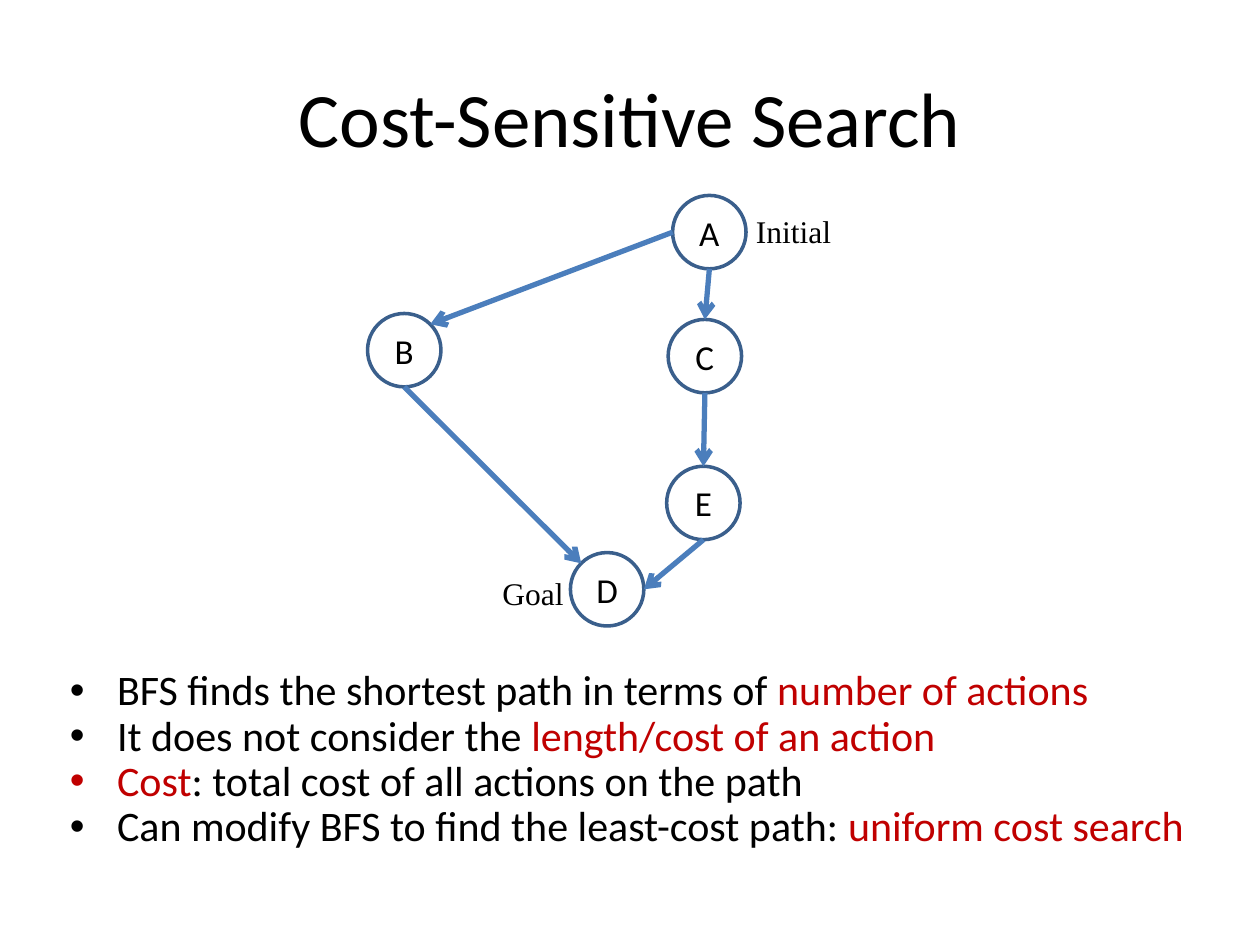
from dataclasses import dataclass
from math import cos, radians, sin

from lxml import etree
from pptx import Presentation
from pptx.dml.color import RGBColor
from pptx.enum.shapes import MSO_CONNECTOR, MSO_SHAPE
from pptx.enum.text import MSO_ANCHOR, MSO_AUTO_SIZE, PP_ALIGN
from pptx.oxml.ns import qn
from pptx.util import Cm, Pt

OVAL = MSO_SHAPE.OVAL
LINE = MSO_CONNECTOR.STRAIGHT
MIDDLE = MSO_ANCHOR.MIDDLE
CENTER = PP_ALIGN.CENTER
GROW = MSO_AUTO_SIZE.SHAPE_TO_FIT_TEXT


@dataclass(frozen=True)
class Theme:
    ink: RGBColor = RGBColor(0, 0, 0)
    red: RGBColor = RGBColor(0xC0, 0, 0)
    white: RGBColor = RGBColor(0xFF, 0xFF, 0xFF)
    ring: RGBColor = RGBColor(0x3A, 0x5F, 0x8C)
    arrow: RGBColor = RGBColor(0x4B, 0x7E, 0xBC)
    sans: str = "Calibri"
    serif: str = "Times New Roman"
    title: Pt = Pt(44)
    body: Pt = Pt(24)
    node: Pt = Pt(20)
    label: Pt = Pt(18)


theme = Theme()


def add_run(para, text, size, color=theme.ink, face=theme.sans):
    run = para.add_run()
    run.text = text
    run.font.size = size
    run.font.name = face
    run.font.color.rgb = color


def rim(name, angle):
    """Point on a node's edge, with the angle counted clockwise from the right."""
    x, y = nodes[name]
    turn = radians(angle)
    return Cm(x + radius * cos(turn)), Cm(y + radius * sin(turn))


prs = Presentation()
prs.slide_width, prs.slide_height = Cm(25.4), Cm(19.05)
slide = prs.slides.add_slide(prs.slide_layouts[6])
shapes = slide.shapes

# Title
frame = shapes.add_textbox(Cm(1.27), Cm(0.76), Cm(22.86), Cm(3.18)).text_frame
frame.word_wrap = True
frame.vertical_anchor = MIDDLE
para = frame.paragraphs[0]
para.alignment = CENTER
add_run(para, "Cost-Sensitive Search", theme.title)

# Bullets
points = [
    [("BFS finds the shortest path in terms of ", theme.ink),
     ("number of actions", theme.red)],
    [("It does not consider the ", theme.ink),
     ("length/cost of an action", theme.red)],
    [("Cost", theme.red),
     (": total cost of all actions on the path", theme.ink)],
    [("Can modify BFS to find the least-cost path: ", theme.ink),
     ("uniform cost search", theme.red)],
]
frame = shapes.add_textbox(Cm(1.16), Cm(13.37), Cm(23.7), Cm(4.42)).text_frame
frame.word_wrap = True
for i, point in enumerate(points):
    para = frame.add_paragraph() if i else frame.paragraphs[0]
    para.line_spacing = 0.9
    props = para._p.get_or_add_pPr()
    props.set("marL", str(Cm(0.95)))
    props.set("indent", str(-Cm(0.95)))
    etree.SubElement(props, qn("a:buFont"), typeface="Arial")
    etree.SubElement(props, qn("a:buChar"), char="•")
    for text, color in point:
        add_run(para, text, theme.body, color)

# Graph nodes, by centre in cm
radius = 0.74
nodes = {
    "A": (14.3, 4.68),
    "B": (8.15, 7.06),
    "C": (14.21, 7.18),
    "D": (12.24, 11.88),
    "E": (14.18, 10.14),
}
for name, (x, y) in nodes.items():
    node = shapes.add_shape(OVAL, Cm(x - radius), Cm(y - radius),
                            Cm(2 * radius), Cm(2 * radius))
    node.shadow.inherit = False
    node.fill.solid()
    node.fill.fore_color.rgb = theme.white
    node.line.color.rgb = theme.ring
    node.line.width = Pt(2)
    frame = node.text_frame
    frame.vertical_anchor = MIDDLE
    para = frame.paragraphs[0]
    para.alignment = CENTER
    add_run(para, name, theme.node)

# Arrows, each from and to a node at an angle
edges = [
    ("A", 180, "B", -45),
    ("B", 90, "D", -135),
    ("E", 90, "D", 0),
    ("A", 90, "C", -90),
    ("C", 90, "E", -90),
]
for start, leave, end, enter in edges:
    edge = shapes.add_connector(LINE, *rim(start, leave), *rim(end, enter))
    edge.line.color.rgb = theme.arrow
    edge.line.width = Pt(3)
    props = edge._element.spPr
    etree.SubElement(props.find(qn("a:ln")), qn("a:tailEnd"), type="arrow")
    etree.SubElement(props, qn("a:effectLst"))

# Labels beside the first and last node
for text, x, y, width in [("Initial", 14.99, 4.14, 2.06),
                          ("Goal", 9.88, 11.45, 1.75)]:
    frame = shapes.add_textbox(Cm(x), Cm(y), Cm(width), Cm(1.02)).text_frame
    frame.word_wrap = False
    frame.auto_size = GROW
    add_run(frame.paragraphs[0], text, theme.label, face=theme.serif)

prs.save("out.pptx")
